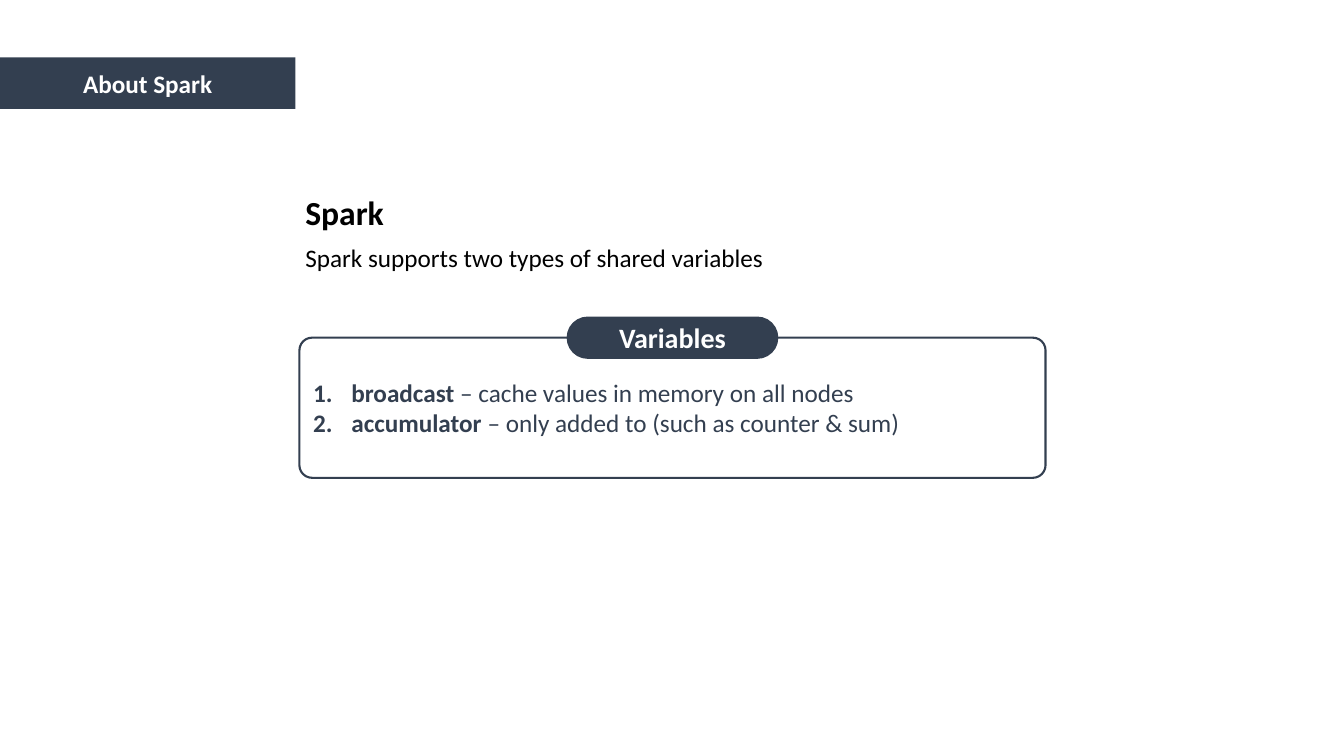
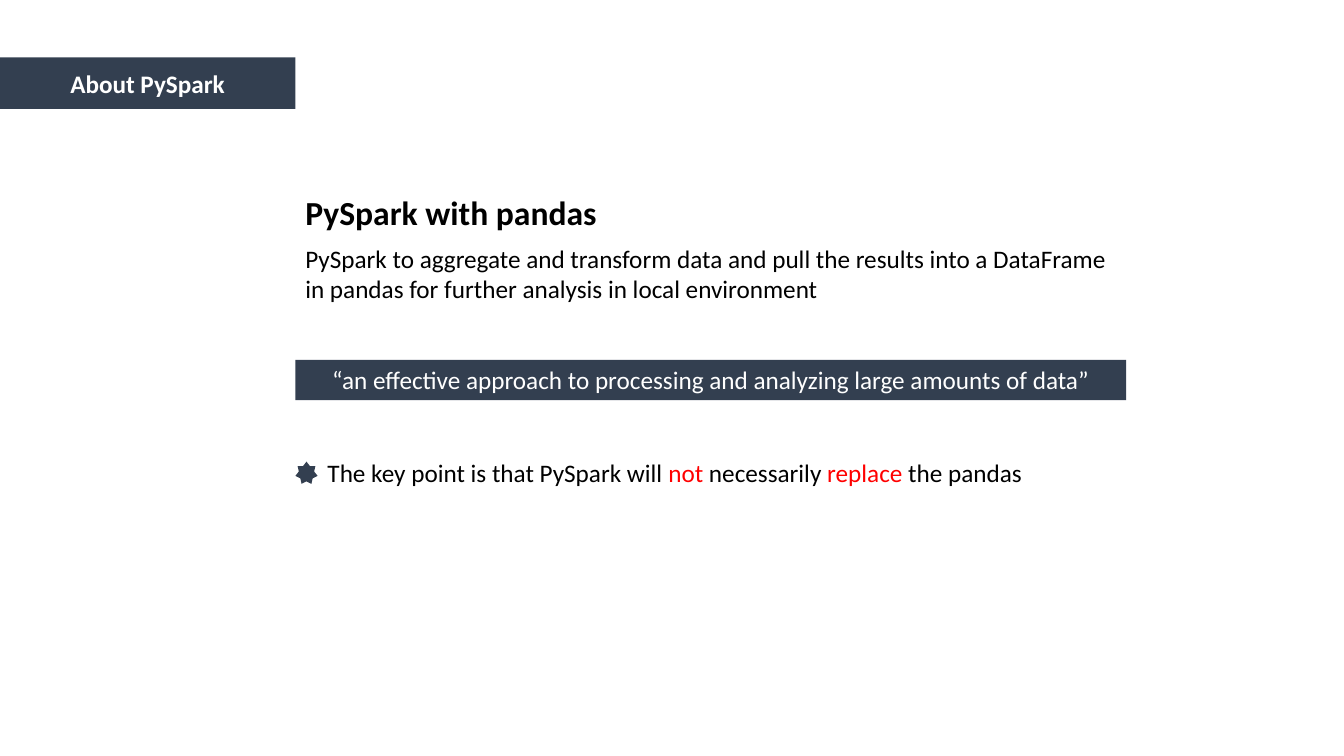
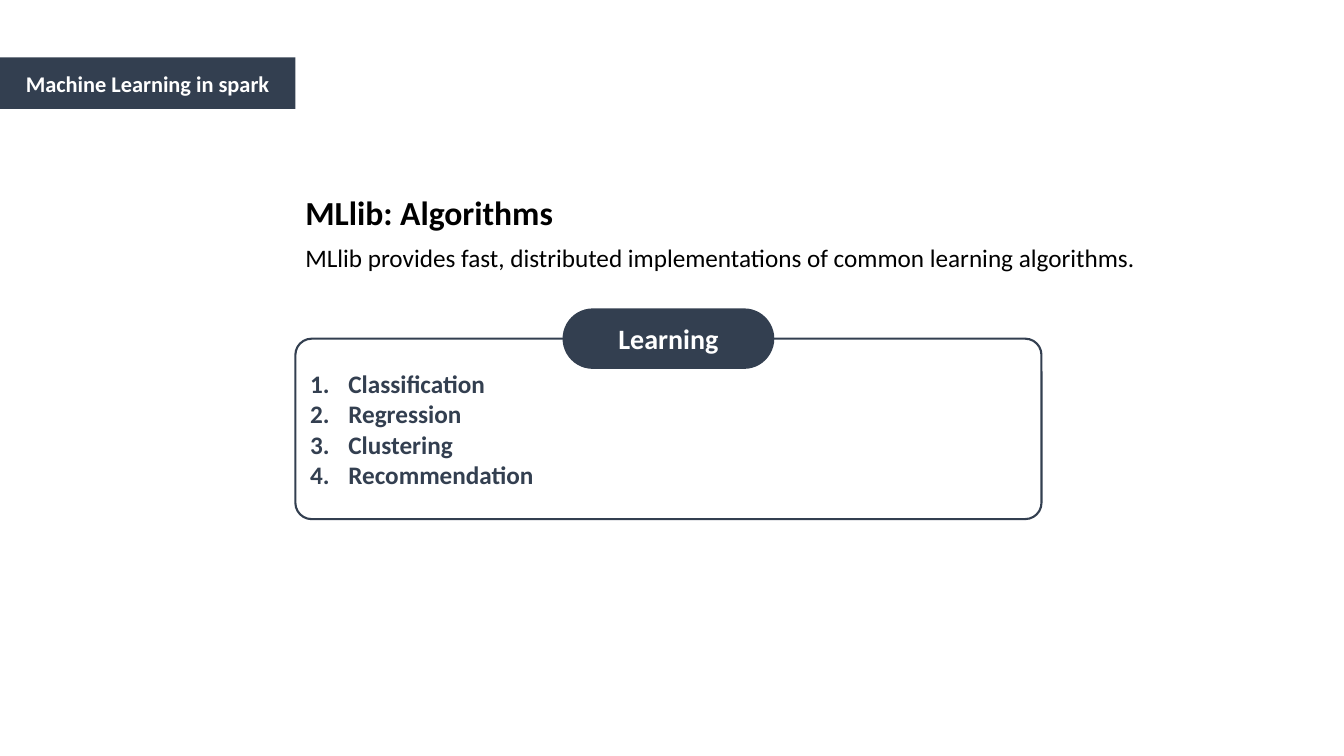
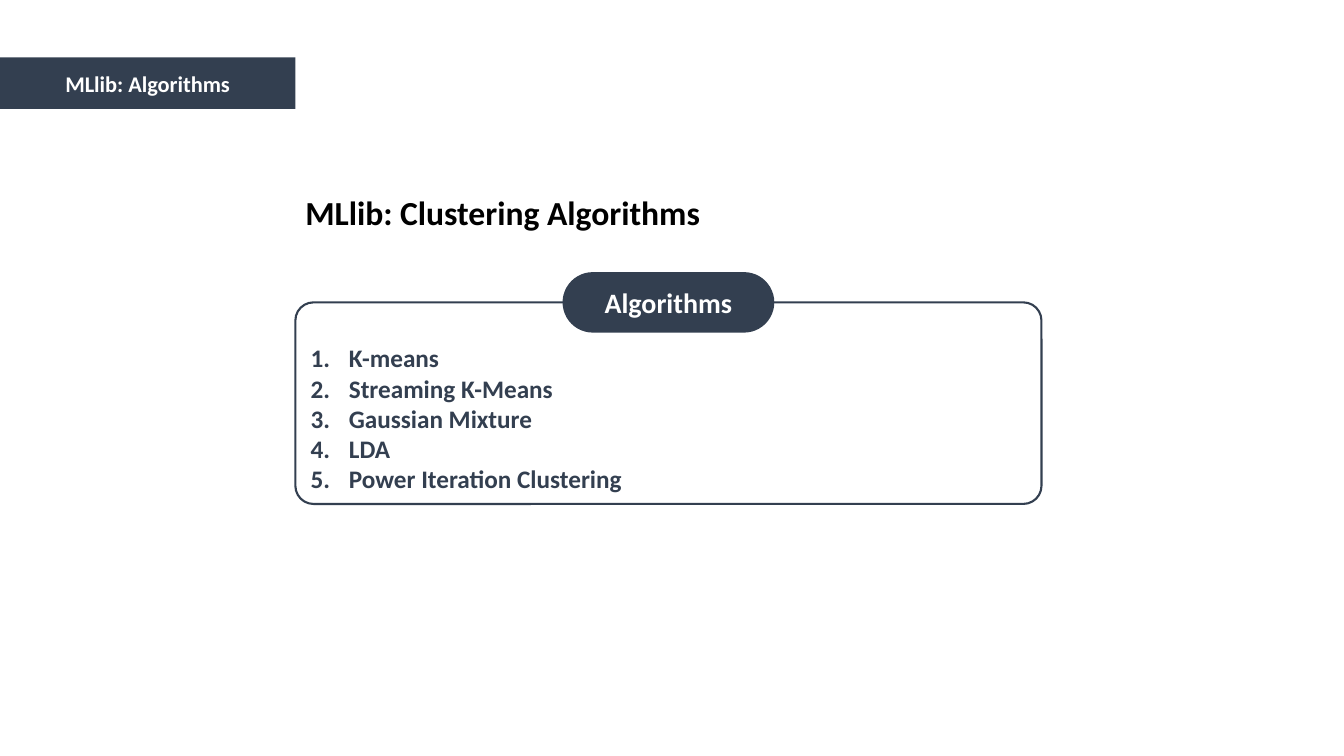
from dataclasses import dataclass

from lxml import etree
from pptx import Presentation
from pptx.dml.color import RGBColor
from pptx.enum.shapes import MSO_SHAPE
from pptx.enum.text import MSO_ANCHOR, PP_ALIGN
from pptx.oxml.ns import qn
from pptx.util import Pt

RECTANGLE = MSO_SHAPE.RECTANGLE
ROUNDED = MSO_SHAPE.ROUNDED_RECTANGLE
STAR = MSO_SHAPE.STAR_7_POINT
TOP, MIDDLE = MSO_ANCHOR.TOP, MSO_ANCHOR.MIDDLE
LEFT, CENTER = PP_ALIGN.LEFT, PP_ALIGN.CENTER

EMU_PER_PX = 9144
BLANK_LAYOUT = 6


@dataclass(frozen=True)
class Theme:
    font: str = "Calibri"
    navy: RGBColor = RGBColor(0x33, 0x3F, 0x50)
    white: RGBColor = RGBColor(0xFF, 0xFF, 0xFF)
    black: RGBColor = RGBColor(0x00, 0x00, 0x00)
    red: RGBColor = RGBColor(0xFF, 0x00, 0x00)
    heading: int = 24
    label: int = 20
    body: int = 18
    small: int = 16
    outline: float = 1.5
    margin: int = 293
    card_width: int = 740
    pill_width: int = 210
    list_indent: int = 38


THEME = Theme()


@dataclass(frozen=True)
class Span:
    text: str
    color: RGBColor = THEME.black
    size: int = THEME.body
    bold: bool = False


def px(length):
    return length * EMU_PER_PX


def add_spans(para, spans, align=LEFT):
    para.alignment = align
    for span in spans:
        run = para.add_run()
        run.text = span.text
        run.font.name = THEME.font
        run.font.size = Pt(span.size)
        run.font.bold = span.bold
        run.font.color.rgb = span.color


def number_paragraph(para):
    properties = para._p.get_or_add_pPr()
    properties.set("marL", str(px(THEME.list_indent)))
    properties.set("indent", str(-px(THEME.list_indent)))
    etree.SubElement(properties, qn("a:buFont"), typeface="+mj-lt")
    etree.SubElement(properties, qn("a:buAutoNum"), type="arabicPeriod")


def add_text(page, left, top, width, height, spans):
    box = page.shapes.add_textbox(px(left), px(top), px(width), px(height))
    box.text_frame.word_wrap = True
    add_spans(box.text_frame.paragraphs[0], spans)


def add_block(page, kind, left, top, width, height, spans=(), anchor=MIDDLE):
    block = page.shapes.add_shape(kind, px(left), px(top), px(width), px(height))
    block.shadow.inherit = False
    block.fill.solid()
    block.fill.fore_color.rgb = THEME.navy
    block.line.fill.background()
    block.text_frame.word_wrap = True
    block.text_frame.vertical_anchor = anchor
    add_spans(block.text_frame.paragraphs[0], spans, CENTER)
    return block


def add_card(page, left, top, height, label, pill_height, items, inset_top=5):
    card = add_block(page, ROUNDED, left, top, THEME.card_width, height)
    card.adjustments[0] = 0.09
    card.fill.fore_color.rgb = THEME.white
    card.line.color.rgb = THEME.navy
    card.line.width = Pt(THEME.outline)
    frame = card.text_frame
    frame.margin_top = px(inset_top)
    for index, spans in enumerate(items):
        para = frame.add_paragraph() if index else frame.paragraphs[0]
        number_paragraph(para)
        add_spans(para, spans)

    pill_left = left + (THEME.card_width - THEME.pill_width) // 2
    pill = add_block(page, ROUNDED, pill_left, top - pill_height // 2,
                     THEME.pill_width, pill_height,
                     [Span(label, THEME.white, THEME.label, True)])
    pill.adjustments[0] = 0.5


def bold_items(names):
    return [[Span(name, THEME.navy, bold=True)] for name in names]


def add_page(deck, section, heading, section_size=THEME.body):
    page = deck.slides.add_slide(deck.slide_layouts[BLANK_LAYOUT])
    add_block(page, RECTANGLE, 0, 57, THEME.margin, 51,
              [Span(section, THEME.white, section_size, True)])
    add_text(page, THEME.margin, 185, 620, 50,
             [Span(heading, size=THEME.heading, bold=True)])
    return page


def add_intro(page, text, width, height=40):
    add_text(page, THEME.margin, 236, width, height, [Span(text)])


def build_variables(deck):
    page = add_page(deck, "About Spark", "Spark")
    add_intro(page, "Spark supports two types of shared variables", 696)
    variables = [
        ("broadcast ", "– cache values in memory on all nodes"),
        ("accumulator ", "– only added to (such as counter & sum)"),
    ]
    items = [[Span(name, THEME.navy, bold=True), Span(meaning, THEME.navy)]
             for name, meaning in variables]
    add_card(page, 297, 335, 139, "Variables", 42, items)


def build_pandas(deck):
    page = add_page(deck, "About PySpark", "PySpark with pandas")
    add_intro(page, "PySpark to aggregate and transform data and pull the results "
              "into a DataFrame in pandas for further analysis in local environment",
              836, 71)
    add_block(page, RECTANGLE, THEME.margin, 357, 824, 40,
              [Span("“an effective approach to processing and analyzing "
                    "large amounts of data”", THEME.white)], TOP)
    add_text(page, 315, 449, 716, 40, [
        Span("The key point is that PySpark will "),
        Span("not", THEME.red),
        Span(" necessarily "),
        Span("replace", THEME.red),
        Span(" the pandas"),
    ])
    add_block(page, STAR, THEME.margin, 458, 22, 22)


def build_learning(deck):
    page = add_page(deck, "Machine Learning in spark", "MLlib: Algorithms", THEME.small)
    add_intro(page, "MLlib provides fast, distributed implementations of "
              "common learning algorithms.", 861)
    add_card(page, THEME.margin, 336, 179, "Learning", 60, bold_items(
        ["Classification", "Regression", "Clustering", "Recommendation"]))


def build_clustering(deck):
    page = add_page(deck, "MLlib: Algorithms", "MLlib: Clustering Algorithms", THEME.small)
    add_card(page, THEME.margin, 300, 200, "Algorithms", 60, bold_items(
        ["K-means", "Streaming K-Means", "Gaussian Mixture", "LDA",
         "Power Iteration Clustering"]), inset_top=35)


def main():
    deck = Presentation()
    deck.slide_width = px(1333)
    deck.slide_height = px(750)
    build_variables(deck)
    build_pandas(deck)
    build_learning(deck)
    build_clustering(deck)
    deck.save("out.pptx")


if __name__ == "__main__":
    main()
